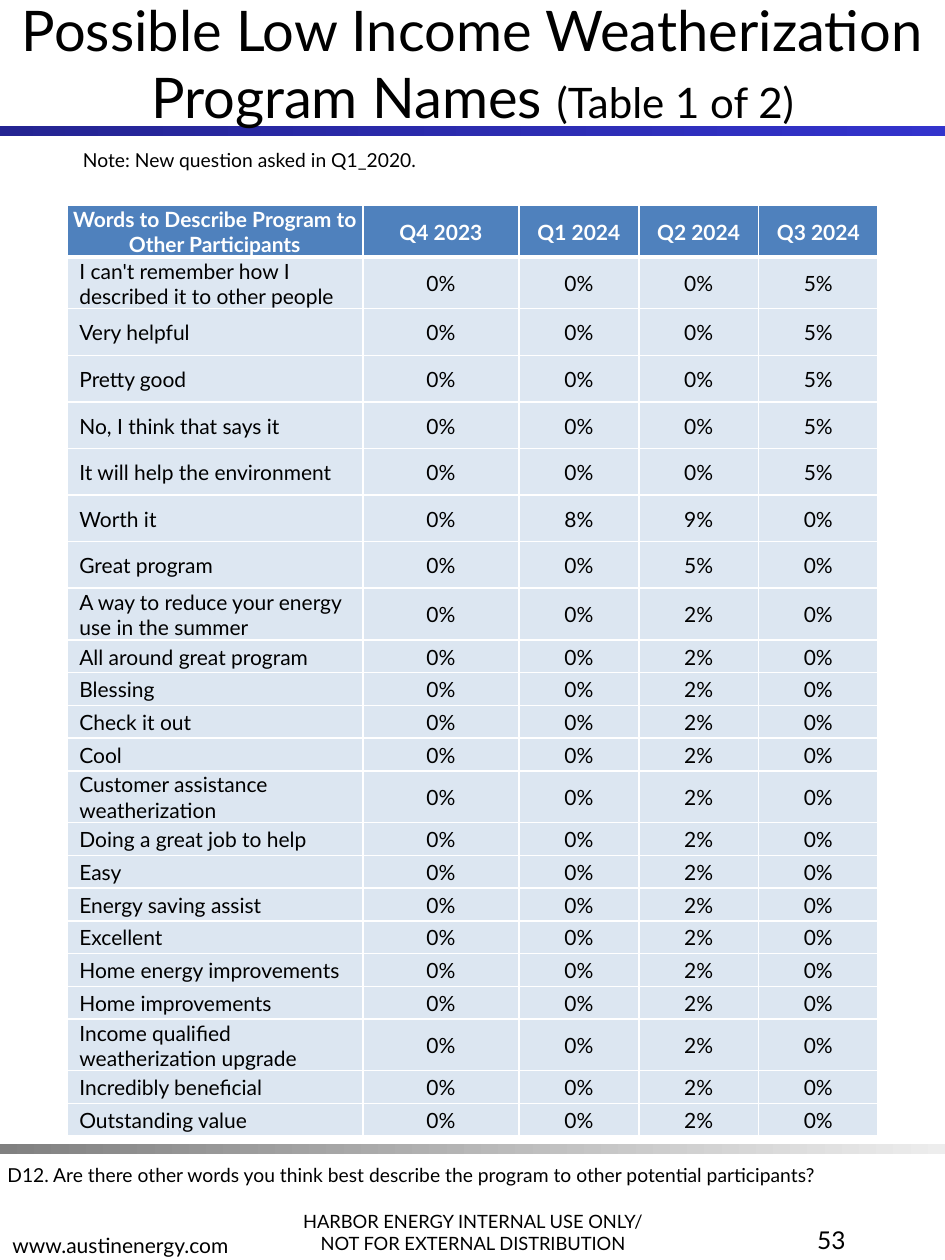
from lxml.etree import SubElement
from pptx import Presentation
from pptx.dml.color import RGBColor
from pptx.enum.shapes import MSO_SHAPE
from pptx.enum.text import MSO_ANCHOR, PP_ALIGN
from pptx.oxml.ns import qn
from pptx.util import Inches, Pt

FONT = "Lato"
BLACK, WHITE = "000000", "FFFFFF"
LEFT, CENTER, RIGHT = PP_ALIGN.LEFT, PP_ALIGN.CENTER, PP_ALIGN.RIGHT
TOP, MIDDLE, BOTTOM = MSO_ANCHOR.TOP, MSO_ANCHOR.MIDDLE, MSO_ANCHOR.BOTTOM

HEADS = ["Words to Describe Program to Other Participants",
         "Q4 2023", "Q1 2024", "Q2 2024", "Q3 2024"]
WIDTHS = [2.35, 1.24, 0.95, 0.95, 0.95]
TALL, SHORT = 0.37, 0.26
LATEST = ["I can't remember how I described it to other people", "Very helpful",
          "Pretty good", "No, I think that says it",
          "It will help the environment"]
EARLIER = ["A way to reduce your energy use in the summer",
           "All around great program", "Blessing", "Check it out", "Cool",
           "Customer assistance weatherization", "Doing a great job to help",
           "Easy", "Energy saving assist", "Excellent",
           "Home energy improvements", "Home improvements",
           "Income qualified weatherization upgrade",
           "Incredibly beneficial", "Outstanding value"]
ROWS = ([(name, 0, 0, 0, 5) for name in LATEST]
        + [("Worth it", 0, 8, 9, 0), ("Great program", 0, 0, 5, 0)]
        + [(name, 0, 0, 2, 0) for name in EARLIER])


def color(code):
    return RGBColor.from_string(code)


def add_run(para, text, size, code=BLACK, bold=False):
    run = para.add_run()
    run.text = text
    run.font.name = FONT
    run.font.size = Pt(size)
    run.font.bold = bold
    run.font.color.rgb = color(code)


def add_text(slide, box, lines, align=LEFT, anchor=TOP):
    frame = slide.shapes.add_textbox(*map(Inches, box)).text_frame
    frame.word_wrap = True
    frame.vertical_anchor = anchor
    for index, runs in enumerate(lines):
        para = frame.add_paragraph() if index else frame.paragraphs[0]
        para.alignment = align
        for text, size in runs:
            add_run(para, text, size)


def add_bar(slide, top, start, end):
    bar = slide.shapes.add_shape(MSO_SHAPE.RECTANGLE, 0, Inches(top),
                                 Inches(7.5), Inches(0.08))
    bar.shadow.inherit = False
    bar.line.fill.background()
    bar.fill.gradient()
    bar.fill.gradient_angle = 0
    for stop, code in zip(bar.fill.gradient_stops, (start, end)):
        stop.color.rgb = color(code)


def add_edge(cell, side, width):
    props = cell._tc.get_or_add_tcPr()
    line = SubElement(props, qn("a:ln" + side), w=str(Pt(width)))
    fill = SubElement(line, qn("a:solidFill"))
    SubElement(fill, qn("a:srgbClr"), val=WHITE)


def fill_cell(cell, text, row, col):
    head = row == 0
    widths = {"L": 1, "R": 1, "T": 3 if row == 1 else 1, "B": 3 if head else 1}
    for side, width in widths.items():
        add_edge(cell, side, width)
    cell.fill.solid()
    cell.fill.fore_color.rgb = color("4F81BD" if head else
                                     "DDE7F2" if row < 8 else "DCE6F1")
    label = col == 0 and not head
    cell.margin_left = Inches(0.1 if label else 0.01)
    cell.margin_right = cell.margin_top = Inches(0.01)
    cell.margin_bottom = 0
    cell.vertical_anchor = MIDDLE
    para = cell.text_frame.paragraphs[0]
    para.alignment = LEFT if label else CENTER
    add_run(para, text, 12, WHITE if head else BLACK, head)


def add_grid(slide):
    data = [HEADS] + [[name] + [f"{value}%" for value in values]
                      for name, *values in ROWS]
    heights = [TALL if row < 9 else SHORT for row in range(len(data))]
    frame = slide.shapes.add_table(
        len(data), len(HEADS), Inches(0.53), Inches(1.63),
        Inches(sum(WIDTHS)), Inches(sum(heights)))
    table = frame.table
    table.horz_banding = False
    for column, width in zip(table.columns, WIDTHS):
        column.width = Inches(width)
    for row, texts in enumerate(data):
        table.rows[row].height = Inches(heights[row])
        for col, text in enumerate(texts):
            fill_cell(table.cell(row, col), text, row, col)


def main():
    deck = Presentation()
    deck.slide_width, deck.slide_height = Inches(7.5), Inches(10)
    slide = deck.slides.add_slide(deck.slide_layouts[6])
    add_bar(slide, 1, "242492", "3333CC")
    add_bar(slide, 9.08, "808080", "EDEDED")
    add_text(slide, (2.16, 9.33, 3.19, 0.67),
             [[("HARBOR ENERGY INTERNAL USE ONLY/", 10.5)],
              [("NOT FOR EXTERNAL DISTRIBUTION", 10.5)]], CENTER, BOTTOM)
    add_text(slide, (0, 9.36, 3.19, 0.67),
             [[("www.austinenergy.com", 12)]], anchor=BOTTOM)
    add_text(slide, (0, 0, 7.5, 1),
             [[("Possible Low Income Weatherization Program Names ", 32),
               ("(Table 1 of 2)", 24)]], CENTER, MIDDLE)
    add_text(slide, (5.25, 9.67, 1.56, 0.67), [[("53", 14)]], RIGHT)
    add_text(slide, (-0.04, 9.18, 6.85, 0.29),
             [[("D12. Are there other words you think best describe the "
                "program to other potential participants?", 11)]])
    add_text(slide, (0.56, 1.13, 6.44, 0.29),
             [[("Note: New question asked in Q1_2020.", 11)]])
    add_grid(slide)
    deck.save("out.pptx")


if __name__ == "__main__":
    main()
